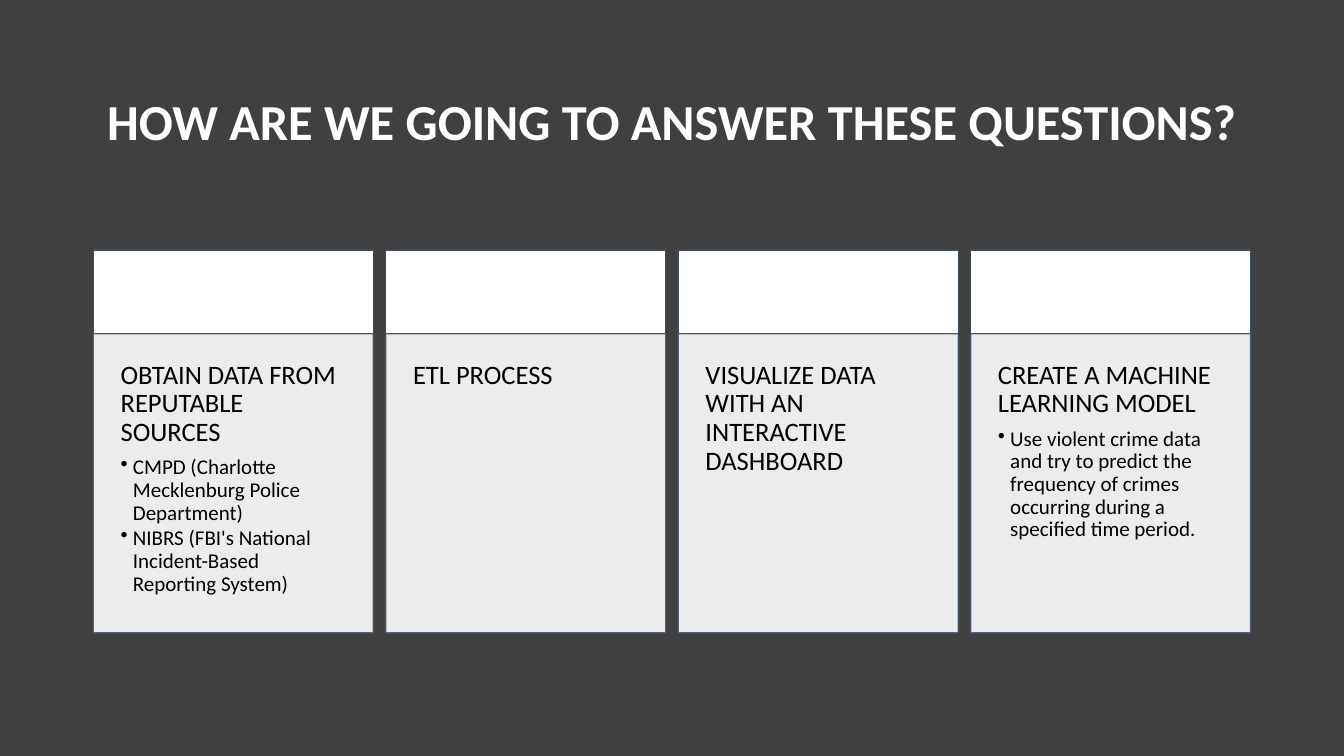
from lxml import etree
from pptx import Presentation, util as u
from pptx.dml.color import RGBColor
from pptx.enum import shapes, text
from pptx.oxml.ns import qn

FONT = "Calibri"
WHITE, BLACK, BACKGROUND = "FFFFFF", "000000", "404040"
HEADER_LINE, BODY_LINE = "3E4C60", "44546A"

CARDS = [
    ("OBTAIN DATA FROM REPUTABLE SOURCES", [
        "CMPD (Charlotte Mecklenburg Police Department)",
        "NIBRS (FBI's National Incident-Based Reporting System)",
    ]),
    ("ETL PROCESS", []),
    ("VISUALIZE DATA WITH AN INTERACTIVE DASHBOARD", []),
    ("CREATE A MACHINE LEARNING MODEL", [
        "Use violent crime data and try to predict the frequency of crimes "
        "occurring during a specified time period.",
    ]),
]


def color(value):
    return RGBColor.from_string(value)


def set_opacity(fill_element, percent):
    srgb = next(fill_element.iter(qn("a:srgbClr")))
    etree.SubElement(srgb, qn("a:alpha")).set("val", str(percent * 1000))


def add_run(paragraph, words, size, value, bold=False):
    paragraph.line_spacing = 0.9
    run = paragraph.add_run()
    run.text = words
    run.font.name = FONT
    run.font.size = u.Pt(size)
    run.font.bold = bold
    run.font.color.rgb = color(value)


def add_bullet(paragraph):
    properties = paragraph._p.get_or_add_pPr()
    properties.set("marL", str(u.Cm(0.31)))
    properties.set("indent", str(-u.Cm(0.31)))
    etree.SubElement(properties, qn("a:buChar")).set("char", "•")


def add_panel(slide, left, top, width, height, line):
    shape = slide.shapes.add_shape(
        shapes.MSO_SHAPE.RECTANGLE,
        u.Cm(left), u.Cm(top), u.Cm(width), u.Cm(height))
    shape.shadow.inherit = False
    shape.fill.solid()
    shape.fill.fore_color.rgb = color(WHITE)
    shape.line.color.rgb = color(line)
    shape.line.width = u.Pt(1)
    return shape


def add_title(slide, left, top, width, height):
    shape = slide.shapes.add_textbox(
        u.Cm(left), u.Cm(top), u.Cm(width), u.Cm(height))
    frame = shape.text_frame
    frame.word_wrap = True
    frame.vertical_anchor = text.MSO_ANCHOR.MIDDLE
    paragraph = frame.paragraphs[0]
    paragraph.alignment = text.PP_ALIGN.CENTER
    add_run(paragraph, "HOW ARE WE GOING TO ANSWER THESE QUESTIONS?",
            36, WHITE, bold=True)


def add_card(slide, left, top, width, height, heading, bullets):
    header_height = 2.11
    add_panel(slide, left, top, width, header_height, HEADER_LINE)
    body = add_panel(slide, left, top + header_height, width,
                     height - header_height, BODY_LINE)
    set_opacity(body.fill._xPr.find(qn("a:solidFill")), 90)
    set_opacity(body.line._ln, 90)

    frame = body.text_frame
    frame.word_wrap = True
    frame.vertical_anchor = text.MSO_ANCHOR.TOP
    frame.margin_left = frame.margin_right = u.Cm(0.69)
    frame.margin_top = frame.margin_bottom = u.Cm(0.69)
    paragraph = frame.paragraphs[0]
    paragraph.alignment = text.PP_ALIGN.LEFT
    paragraph.space_after = u.Pt(6.65)
    add_run(paragraph, heading, 19, BLACK)
    for bullet in bullets:
        paragraph = frame.add_paragraph()
        paragraph.level = 1
        paragraph.alignment = text.PP_ALIGN.LEFT
        paragraph.space_after = u.Pt(2.25)
        add_run(paragraph, bullet, 15, BLACK)
        add_bullet(paragraph)


def add_card_row(slide, left, top, width, height):
    gap = 0.31
    card_width = (width - gap * (len(CARDS) - 1)) / len(CARDS)
    for index, (heading, bullets) in enumerate(CARDS):
        add_card(slide, left + index * (card_width + gap), top,
                 card_width, height, heading, bullets)


def main():
    presentation = Presentation()
    presentation.slide_width = u.Cm(33.87)
    presentation.slide_height = u.Cm(19.05)
    slide = presentation.slides.add_slide(presentation.slide_layouts[6])
    slide.background.fill.solid()
    slide.background.fill.fore_color.rgb = color(BACKGROUND)
    add_title(slide, 2.33, 1.55, 29.21, 3.15)
    add_card_row(slide, 2.35, 6.3, 29.17, 9.65)
    presentation.save("out.pptx")


if __name__ == "__main__":
    main()
